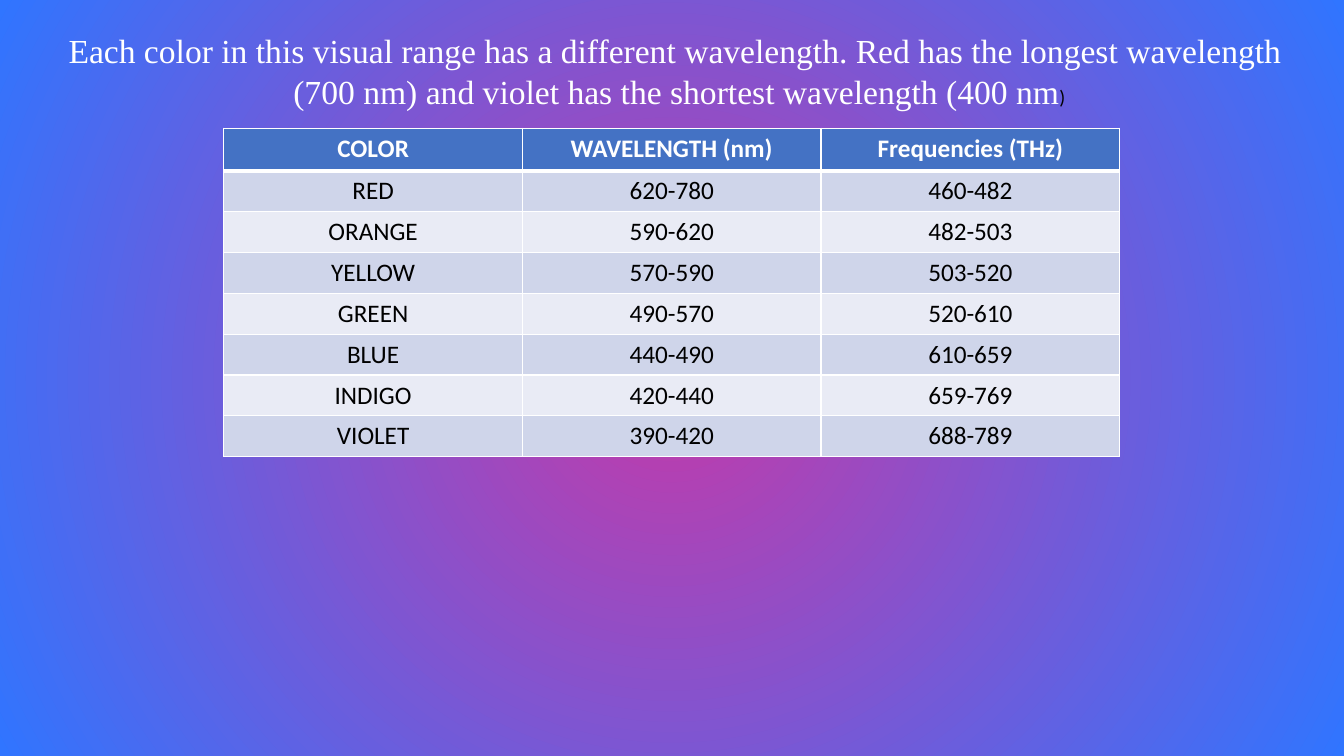
from lxml.etree import SubElement
from pptx import Presentation
from pptx.dml.color import RGBColor
from pptx.enum.shapes import MSO_SHAPE as SHAPE
from pptx.enum.text import MSO_AUTO_SIZE as AUTO_SIZE, PP_ALIGN as ALIGN
from pptx.oxml.ns import qn
from pptx.util import Cm, Pt

WHITE = RGBColor(0xFF, 0xFF, 0xFF)
BLACK = RGBColor(0x00, 0x00, 0x00)
MAGENTA = RGBColor(0xC3, 0x3A, 0xA9)
SKY_BLUE = RGBColor(0x30, 0x75, 0xFF)
HEADER_BLUE = RGBColor(0x44, 0x72, 0xC4)
BAND_DARK = RGBColor(0xCF, 0xD5, 0xEA)
BAND_LIGHT = RGBColor(0xE9, 0xEB, 0xF5)

CAPTION = [
    "Each color in this visual range has a different wavelength. Red has the longest wavelength ",
    "(700 nm) and violet has the shortest wavelength (400 nm",
]
SPECTRUM = [
    ("COLOR", "WAVELENGTH (nm)", "Frequencies (THz)"),
    ("RED", "620-780", "460-482"),
    ("ORANGE", "590-620", "482-503"),
    ("YELLOW", "570-590", "503-520"),
    ("GREEN", "490-570", "520-610"),
    ("BLUE", "440-490", "610-659"),
    ("INDIGO", "420-440", "659-769"),
    ("VIOLET", "390-420", "688-789"),
]


def style_font(font, name, size, color, bold=False):
    """Set the face, size, colour and weight of a font."""
    font.name, font.size, font.bold = name, Pt(size), bold
    font.color.rgb = color


def add_backdrop(slide, left, top, width, height):
    """Fill the box with a circular gradient spreading from its centre."""
    sp = slide.shapes.add_shape(SHAPE.RECTANGLE, left, top, width, height)
    sp.shadow.inherit = False
    sp.line.fill.background()
    sp.fill.gradient()
    for stop, color in zip(sp.fill.gradient_stops, (MAGENTA, SKY_BLUE)):
        stop.color.rgb = color
    grad = sp._element.spPr.find(qn("a:gradFill"))
    linear = grad.find(qn("a:lin"))
    circle = SubElement(grad, qn("a:path"), path="circle")
    SubElement(circle, qn("a:fillToRect"), dict.fromkeys("ltrb", "50000"))
    grad.replace(linear, circle)


def add_caption(slide, left, top, width, height):
    """Write the centred caption lines in the box."""
    tf = slide.shapes.add_textbox(left, top, width, height).text_frame
    tf.word_wrap = True
    tf.auto_size = AUTO_SIZE.SHAPE_TO_FIT_TEXT
    for i, line in enumerate(CAPTION):
        p = tf.add_paragraph() if i else tf.paragraphs[0]
        p.alignment = ALIGN.CENTER
        r = p.add_run()
        r.text = line
        style_font(r.font, "Times New Roman", 24, WHITE)
    r = p.add_run()
    r.text = ")"
    style_font(r.font, "Calibri", 14, BLACK)


def set_borders(cell, row):
    """Draw white cell borders, heavier between the header and the body."""
    widths = {"L": 1, "R": 1, "T": 3 if row == 1 else 1, "B": 3 if row == 0 else 1}
    tc_pr = cell._tc.get_or_add_tcPr()
    for side, width in widths.items():
        ln = SubElement(tc_pr, qn(f"a:ln{side}"), w=str(Pt(width)))
        SubElement(SubElement(ln, qn("a:solidFill")), qn("a:srgbClr"), val=str(WHITE))


def add_spectrum_table(slide, left, top, width, height):
    """Place the banded table of colors, wavelengths and frequencies in the box."""
    table = slide.shapes.add_table(
        len(SPECTRUM), len(SPECTRUM[0]), left, top, width, height
    ).table
    body_height = Cm(1.03)
    for i, values in enumerate(SPECTRUM):
        header = i == 0
        table.rows[i].height = (
            height - body_height * (len(SPECTRUM) - 1) if header else body_height
        )
        band = HEADER_BLUE if header else BAND_DARK if i % 2 else BAND_LIGHT
        for j, value in enumerate(values):
            cell = table.cell(i, j)
            set_borders(cell, i)
            cell.fill.solid()
            cell.fill.fore_color.rgb = band
            cell.text = value
            p = cell.text_frame.paragraphs[0]
            p.alignment = ALIGN.CENTER
            style_font(p.font, "Calibri", 18, WHITE if header else BLACK, header)


def main():
    """Build the visible spectrum slide and save it."""
    prs = Presentation()
    prs.slide_width, prs.slide_height = Cm(33.87), Cm(19.05)
    s = prs.slides.add_slide(prs.slide_layouts[6])
    add_backdrop(s, 0, 0, prs.slide_width, prs.slide_height)
    add_caption(s, Cm(-3.81), Cm(0.64), Cm(41.86), Cm(2.9))
    add_spectrum_table(s, Cm(5.64), Cm(3.23), Cm(22.58), Cm(8.28))
    prs.save("out.pptx")


if __name__ == "__main__":
    main()
